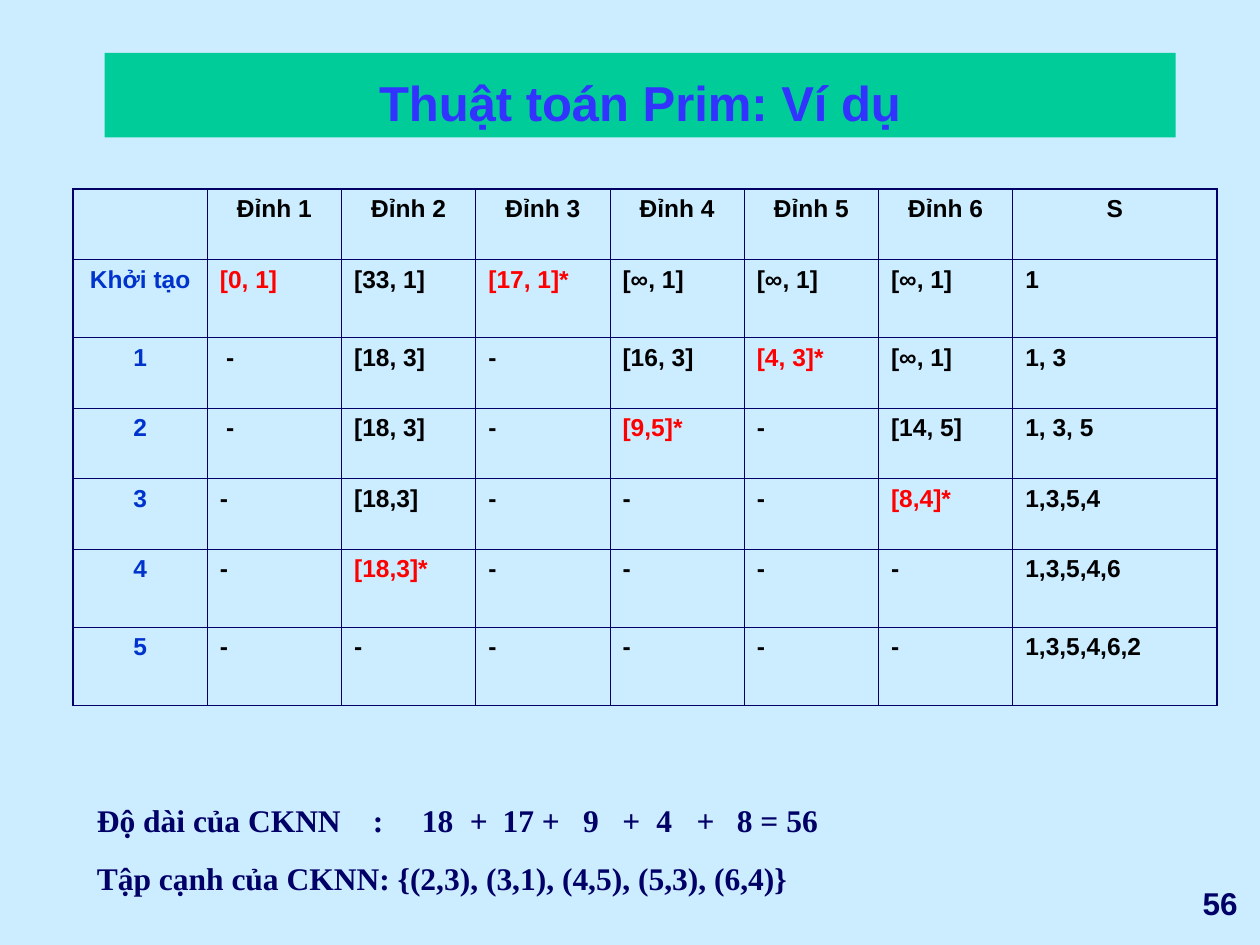
"""Build the slide that traces Prim's algorithm in a table."""
from lxml.etree import SubElement
from pptx import Presentation
from pptx.dml.color import RGBColor
from pptx.enum.text import MSO_ANCHOR as Anchor, MSO_AUTO_SIZE as AutoSize, PP_ALIGN as Align
from pptx.oxml.ns import qn
from pptx.util import Inches, Pt

NAVY = "000066"
BACKGROUND, GREEN = "CCECFF", "00CC99"


def paint(target, color):
    target.rgb = RGBColor.from_string(color)


def write(para, text, size, color, font="Arial", align=Align.LEFT):
    para.alignment = align
    span = para.add_run()
    span.text = text
    for name, value in {"name": font, "size": Pt(size), "bold": True}.items():
        setattr(span.font, name, value)
    paint(span.font.color, color)


deck = Presentation()
deck.slide_width, deck.slide_height = Inches(10), Inches(7.5)
page = deck.slides.add_slide(deck.slide_layouts[5])
page.background.fill.solid()
paint(page.background.fill.fore_color, BACKGROUND)

title = page.shapes.title
title_place = {"left": 0.83, "top": 0.42, "width": 8.5, "height": 0.67}
for name, value in title_place.items():
    setattr(title, name, Inches(value))
title.fill.solid()
paint(title.fill.fore_color, GREEN)
title.text_frame.auto_size = AutoSize.NONE
title.text_frame.vertical_anchor = Anchor.BOTTOM
write(title.text_frame.paragraphs[0], "Thuật toán Prim: Ví dụ", 28, "3333FF", align=Align.CENTER)

rows = [
    ["", *(f"Đỉnh {number}" for number in range(1, 7)), "S"],
    ["Khởi tạo", "[0, 1]", "[33, 1]", "[17, 1]*", "[∞, 1]", "[∞, 1]", "[∞, 1]", "1"],
    ["1", "-", "[18, 3]", "-", "[16, 3]", "[4, 3]*", "[∞, 1]", "1, 3"],
    ["2", "-", "[18, 3]", "-", "[9,5]*", "-", "[14, 5]", "1, 3, 5"],
    ["3", "-", "[18,3]", "-", "-", "-", "[8,4]*", "1,3,5,4"],
    ["4", "-", "[18,3]*", "-", "-", "-", "-", "1,3,5,4,6"],
    ["5", "-", "-", "-", "-", "-", "-", "1,3,5,4,6,2"],
]
table_width, set_width = 9.08, 1.62
row_heights = [0.56, 0.62, 0.56, 0.56, 0.56, 0.62, 0.62]
last_row, last_column = len(rows) - 1, len(rows[0]) - 1
table = page.shapes.add_table(
    len(rows), len(rows[0]), Inches(0.58), Inches(1.5), Inches(table_width), Inches(sum(row_heights))
).table
table.first_row = table.horz_banding = False
for column in table.columns:
    column.width = Inches((table_width - set_width) / last_column)
table.columns[last_column].width = Inches(set_width)

for r, (values, height) in enumerate(zip(rows, row_heights)):
    table.rows[r].height = Inches(height)
    for c, value in enumerate(values):
        cell = table.cell(r, c)
        outer = {"lnL": c == 0, "lnR": c == last_column, "lnT": r == 0, "lnB": r == last_row}
        for side, is_outer in outer.items():
            line = SubElement(cell._tc.get_or_add_tcPr(), qn(f"a:{side}"), w=str(Pt(1.08 if is_outer else 0.45)))
            SubElement(SubElement(line, qn("a:solidFill")), qn("a:srgbClr"), val=NAVY)
        cell.fill.background()
        if c == 1 and r in (2, 3):
            cell.margin_left = Inches(0.15)
        chosen = value.endswith("*") or value == "[0, 1]"
        color = "FF0000" if chosen else "0033CC" if c == 0 else "000000"
        if value:
            write(cell.text_frame.paragraphs[0], value, 14, color,
                  align=Align.CENTER if 0 in (r, c) else Align.LEFT)

result = page.shapes.add_textbox(Inches(0.67), Inches(6.31), Inches(8.42), Inches(0.86)).text_frame
result.word_wrap = True
length = result.paragraphs[0]
tabs = SubElement(length._p.get_or_add_pPr(), qn("a:tabLst"))
for stop in (2.19, 2.58, 2.96, 3.22, 3.86, 4.17, 4.44, 4.76, 5.08):
    SubElement(tabs, qn("a:tab"), pos=str(Inches(stop)), algn="l")
write(length, "Độ dài của CKNN\t:\t18\t+\t17 +\t9\t+\t4\t+\t8 = 56", 18, NAVY, "Times New Roman")
edges = result.add_paragraph()
edges.space_before = Pt(11.2)
write(edges, "Tập cạnh của CKNN: {(2,3), (3,1), (4,5), (5,3), (6,4)}", 18, NAVY, "Times New Roman")

number = page.shapes.add_textbox(Inches(8), Inches(6.92), Inches(1.92), Inches(0.5)).text_frame
number.word_wrap = True
number.vertical_anchor = Anchor.MIDDLE
write(number.paragraphs[0], "56", 18, NAVY, align=Align.RIGHT)

deck.save("out.pptx")
